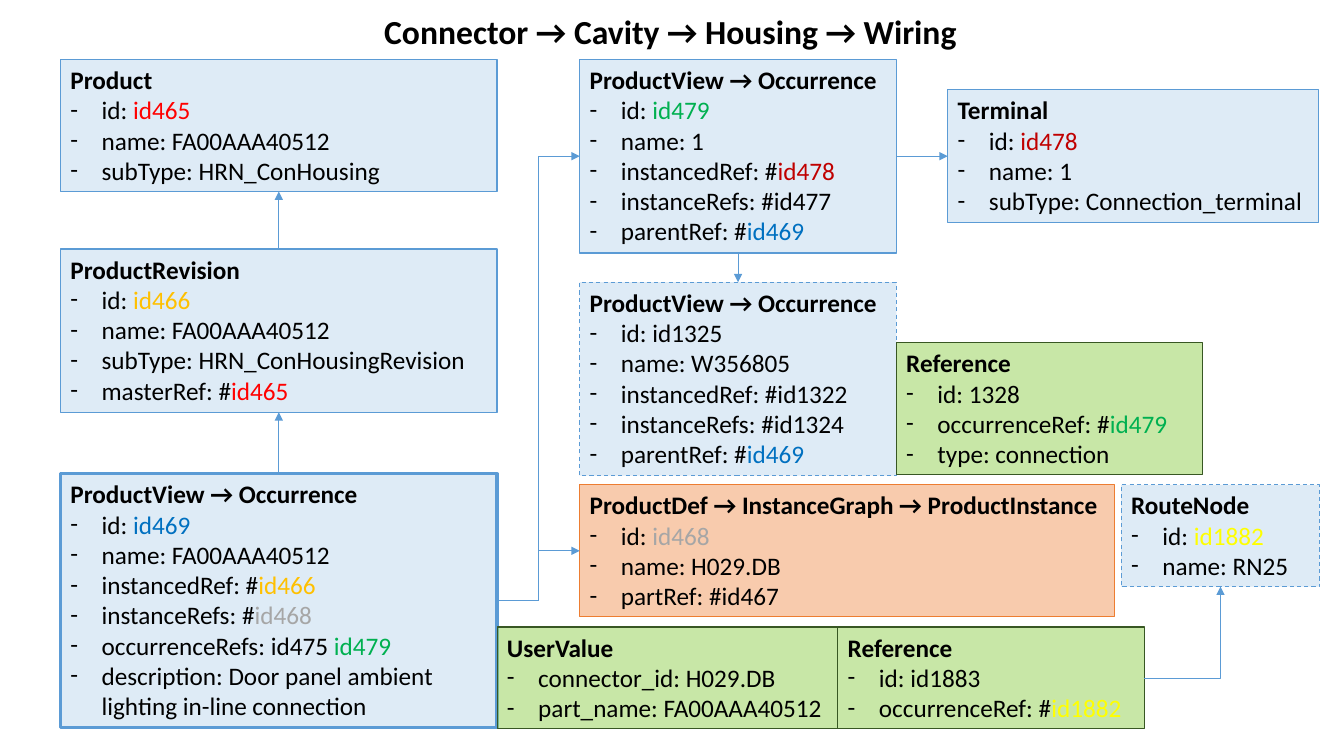
from dataclasses import dataclass

from lxml import etree
from pptx import Presentation
from pptx.dml.color import RGBColor
from pptx.enum.dml import MSO_LINE
from pptx.enum.shapes import MSO_CONNECTOR, MSO_SHAPE
from pptx.enum.text import MSO_ANCHOR, MSO_AUTO_SIZE, PP_ALIGN
from pptx.oxml.ns import qn
from pptx.shapes.autoshape import Shape
from pptx.slide import Slide
from pptx.text.text import TextFrame
from pptx.util import Emu, Pt

RECTANGLE = MSO_SHAPE.RECTANGLE
STRAIGHT, ELBOW = MSO_CONNECTOR.STRAIGHT, MSO_CONNECTOR.ELBOW
DASH = MSO_LINE.DASH
TOP_ANCHOR = MSO_ANCHOR.TOP
LEFT_ALIGN, CENTER_ALIGN = PP_ALIGN.LEFT, PP_ALIGN.CENTER
GROW = MSO_AUTO_SIZE.SHAPE_TO_FIT_TEXT
TOP, LEFT, BOTTOM, RIGHT = range(4)

EMU_PER_PX = 9144  # 100 px to the inch
BULLET_INDENT = 31
FONT = "Calibri"

BLACK = RGBColor(0x00, 0x00, 0x00)
BLUE = RGBColor(0x5B, 0x9B, 0xD5)
LIME = RGBColor(0x92, 0xD0, 0x50)
DARK_GREEN = RGBColor(0x38, 0x57, 0x23)
PEACH = RGBColor(0xF8, 0xCB, 0xAD)
ORANGE = RGBColor(0xED, 0x7D, 0x31)

ID_COLORS = {
    "id465": RGBColor(0xFF, 0x00, 0x00),
    "id466": RGBColor(0xFF, 0xC0, 0x00),
    "id468": RGBColor(0xA6, 0xA6, 0xA6),
    "id469": RGBColor(0x00, 0x70, 0xC0),
    "id478": RGBColor(0xC0, 0x00, 0x00),
    "id479": RGBColor(0x00, 0xB0, 0x50),
    "id1882": RGBColor(0xFF, 0xFF, 0x00),
}


@dataclass(frozen=True)
class Style:
    fill: RGBColor
    line: RGBColor
    opacity: int = 100
    width: float = 0.75
    dashed: bool = False


@dataclass(frozen=True)
class Box:
    key: str
    left: int
    top: int
    width: int
    height: int
    style: Style
    heading: str
    items: tuple[str, ...]


@dataclass(frozen=True)
class Arrow:
    source: str
    source_side: int
    target: str
    target_side: int
    kind: int = STRAIGHT


ELEMENT = Style(BLUE, BLUE, 20)
MAIN = Style(BLUE, BLUE, 20, width=2.25)
DASHED = Style(BLUE, BLUE, 20, dashed=True)
DETAIL = Style(LIME, DARK_GREEN, 50)
INSTANCE = Style(PEACH, ORANGE)

BOXES = (
    Box("product", 60, 59, 433, 131, ELEMENT, "Product",
        ("id: id465", "name: FA00AAA40512", "subType: HRN_ConHousing")),
    Box("revision", 60, 247, 433, 162, ELEMENT, "ProductRevision",
        ("id: id466", "name: FA00AAA40512", "subType: HRN_ConHousingRevision",
         "masterRef: #id465")),
    Box("connector", 60, 470, 433, 252, MAIN, "ProductView → Occurrence",
        ("id: id469", "name: FA00AAA40512", "instancedRef: #id466",
         "instanceRefs: #id468", "occurrenceRefs: id475 id479",
         "description: Door panel ambient lighting in-line connection")),
    Box("user value", 493, 622, 338, 101, DETAIL, "UserValue",
        ("connector_id: H029.DB", "part_name: FA00AAA40512")),
    Box("cavity", 575, 59, 314, 192, ELEMENT, "ProductView → Occurrence",
        ("id: id479", "name: 1", "instancedRef: #id478",
         "instanceRefs: #id477", "parentRef: #id469")),
    Box("wire", 575, 280, 314, 192, DASHED, "ProductView → Occurrence",
        ("id: id1325", "name: W356805", "instancedRef: #id1322",
         "instanceRefs: #id1324", "parentRef: #id469")),
    Box("wire reference", 889, 340, 304, 131, DETAIL, "Reference",
        ("id: 1328", "occurrenceRef: #id479", "type: connection")),
    Box("instance", 575, 481, 530, 131, INSTANCE,
        "ProductDef → InstanceGraph → ProductInstance",
        ("id: id468", "name: H029.DB", "partRef: #id467")),
    Box("terminal", 940, 89, 368, 132, ELEMENT, "Terminal",
        ("id: id478", "name: 1", "subType: Connection_terminal")),
    Box("node reference", 831, 622, 304, 101, DETAIL, "Reference",
        ("id: id1883", "occurrenceRef: #id1882")),
    Box("route node", 1112, 481, 197, 101, DASHED, "RouteNode",
        ("id: id1882", "name: RN25")),
)

ARROWS = (
    Arrow("revision", TOP, "product", BOTTOM),
    Arrow("connector", TOP, "revision", BOTTOM),
    Arrow("connector", RIGHT, "cavity", LEFT, ELBOW),
    Arrow("connector", RIGHT, "instance", LEFT, ELBOW),
    Arrow("cavity", BOTTOM, "wire", TOP),
    Arrow("cavity", RIGHT, "terminal", LEFT),
    Arrow("node reference", RIGHT, "route node", BOTTOM, ELBOW),
)


def px(length: int) -> Emu:
    return Emu(length * EMU_PER_PX)


def prepare_text(text_frame: TextFrame) -> None:
    text_frame.word_wrap = True
    text_frame.auto_size = GROW
    text_frame.vertical_anchor = TOP_ANCHOR


def split_id(text: str) -> list[tuple[str, RGBColor]]:
    """Separate a trailing colour-coded id from the text before it."""
    for identifier, color in ID_COLORS.items():
        if text.endswith(identifier):
            return [(text.removesuffix(identifier), BLACK), (identifier, color)]
    return [(text, BLACK)]


def add_line(text_frame: TextFrame, text: str) -> None:
    paragraph = text_frame.add_paragraph()
    paragraph.alignment = LEFT_ALIGN
    properties = paragraph._p.get_or_add_pPr()
    properties.set("marL", str(px(BULLET_INDENT)))
    properties.set("indent", str(-px(BULLET_INDENT)))
    etree.SubElement(properties, qn("a:buFont")).set("typeface", FONT)
    etree.SubElement(properties, qn("a:buChar")).set("char", "-")
    for part, color in split_id(text):
        run = paragraph.add_run()
        run.text = part
        run.font.name, run.font.size = FONT, Pt(18)
        run.font.color.rgb = color


def format_heading(text_frame: TextFrame, text: str, size: int, alignment: PP_ALIGN) -> None:
    text_frame.text = text
    paragraph = text_frame.paragraphs[0]
    paragraph.alignment = alignment
    font = paragraph.runs[0].font
    font.name, font.size, font.bold = FONT, Pt(size), True
    font.color.rgb = BLACK


def draw_box(slide: Slide, box: Box) -> Shape:
    shape = slide.shapes.add_shape(
        RECTANGLE, px(box.left), px(box.top), px(box.width), px(box.height))
    shape.shadow.inherit = False
    style = box.style
    shape.fill.solid()
    shape.fill.fore_color.rgb = style.fill
    if style.opacity < 100:
        color = shape.element.spPr.find(qn("a:solidFill")).find(qn("a:srgbClr"))
        etree.SubElement(color, qn("a:alpha")).set("val", str(style.opacity * 1000))
    shape.line.color.rgb = style.line
    shape.line.width = Pt(style.width)
    if style.dashed:
        shape.line.dash_style = DASH
    prepare_text(shape.text_frame)
    format_heading(shape.text_frame, box.heading, 18, LEFT_ALIGN)
    for item in box.items:
        add_line(shape.text_frame, item)
    return shape


def draw_arrow(slide: Slide, arrow: Arrow, shapes: dict[str, Shape]) -> None:
    connector = slide.shapes.add_connector(arrow.kind, 0, 0, 0, 0)
    connector.begin_connect(shapes[arrow.source], arrow.source_side)
    connector.end_connect(shapes[arrow.target], arrow.target_side)
    connector.line.color.rgb = BLUE
    connector.line.width = Pt(0.5)
    properties = connector._element.spPr
    if arrow.kind == ELBOW and arrow.target_side == BOTTOM:
        properties.find(qn("a:prstGeom")).set("prst", "bentConnector2")
    etree.SubElement(properties.find(qn("a:ln")), qn("a:tailEnd")).set("type", "triangle")
    etree.SubElement(properties, qn("a:effectLst"))


def main() -> None:
    presentation = Presentation()
    presentation.slide_width, presentation.slide_height = px(1333), px(750)
    slide = presentation.slides.add_slide(presentation.slide_layouts[6])
    title = slide.shapes.add_textbox(px(6), px(6), px(1318), px(50))
    prepare_text(title.text_frame)
    format_heading(title.text_frame, "Connector → Cavity → Housing → Wiring", 24, CENTER_ALIGN)
    shapes = {box.key: draw_box(slide, box) for box in BOXES}
    for arrow in ARROWS:
        draw_arrow(slide, arrow, shapes)
    presentation.save("out.pptx")


if __name__ == "__main__":
    main()
